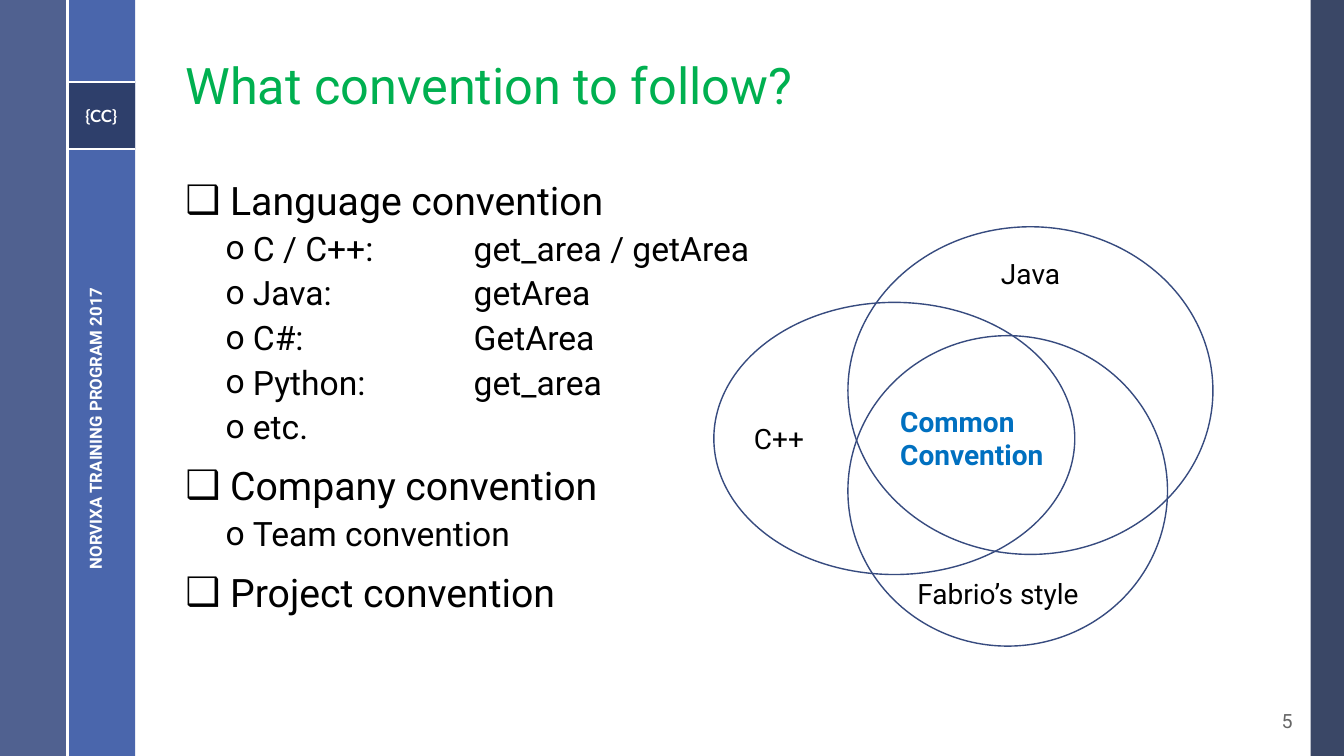
from dataclasses import dataclass

from lxml import etree
from pptx import Presentation
from pptx.dml.color import RGBColor
from pptx.enum.shapes import MSO_CONNECTOR, MSO_SHAPE
from pptx.enum.text import MSO_ANCHOR, PP_ALIGN
from pptx.oxml.ns import qn
from pptx.util import Inches, Pt

RECT, OVAL = MSO_SHAPE.RECTANGLE, MSO_SHAPE.OVAL
LINE = MSO_CONNECTOR.STRAIGHT
MIDDLE = MSO_ANCHOR.MIDDLE
LEFT, CENTER, RIGHT = PP_ALIGN.LEFT, PP_ALIGN.CENTER, PP_ALIGN.RIGHT


@dataclass(frozen=True)
class Theme:
    font: str = "Roboto"
    logo: str = "Lato"
    white: str = "FFFFFF"
    black: str = "000000"
    gray: str = "666666"
    green: str = "00B050"
    accent: str = "0070C0"
    navy: str = "253356"
    blue: str = "4A66AC"
    slate: str = "384C81"
    ring: str = "374B7F"
    title: int = 36
    head: int = 28
    item: int = 24
    label: int = 20
    page: int = 14
    small: int = 12


T = Theme()

TITLE = "What convention to follow?"
TOPICS = [
    ("Language convention", [
        "C / C++:\tget_area / getArea",
        "Java:\tgetArea",
        "C#:\tGetArea",
        "Python:\tget_area",
        "etc.",
    ]),
    ("Company convention", ["Team convention"]),
    ("Project convention", []),
]
PROGRAM = "NORVIXA TRAINING PROGRAM 2017"
BADGE = "{CC}"
PAGE = "5"

WIDE, HIGH = 13.33, 7.5
BAND = 0.67
BADGE_TOP = 0.81
# left, top, width, height, colour, opacity in percent
BANDS = [
    (13, 0, 0.33, HIGH, T.navy, 90),
    (BAND, 0, BAND, HIGH, T.blue, 100),
    (0, 0, BAND, HIGH, T.slate, 88),
]
RULES = [
    (BAND, BADGE_TOP, 2 * BAND, BADGE_TOP),
    (BAND, BADGE_TOP + BAND, 2 * BAND, BADGE_TOP + BAND),
    (BAND, 0, BAND, HIGH),
]
RINGS = [
    (7.08, 3, 3.58, 2.7),
    (8.41, 2.25, 3.62, 3.25),
    (8.41, 3.33, 3.17, 3.08),
]
LABELS = [
    (["Java"], (9.83, 2.5, 0.9, 0.44)),
    (["C++"], (7.38, 4.13, 0.9, 0.44)),
    (["Fabrio’s style"], (9, 5.67, 2.2, 0.44)),
]
COMMON = (["Common", "Convention"], (8.83, 3.96, 1.75, 0.77))
# indent, size, space before, bullet, gap after bullet
LEVELS = [
    (0.27, T.head, 14, "❑", " "),
    (0.67, T.item, 6, "o", ""),
]
HANG = 0.27
TAB = 2.86


def rgb(code):
    return RGBColor.from_string(code)


def box(at):
    return [Inches(n) for n in at]


def style(para, size, color, bold=False, align=LEFT, font=T.font):
    para.alignment = align
    face = para.font
    face.name, face.size, face.bold = font, Pt(size), bold
    face.color.rgb = rgb(color)


def band(slide, at, color, alpha):
    shape = slide.shapes.add_shape(RECT, *box(at))
    shape.shadow.inherit = False
    shape.fill.solid()
    shape.fill.fore_color.rgb = rgb(color)
    shape.line.fill.background()
    if alpha < 100:
        tint = shape.fill._xPr.find(".//" + qn("a:srgbClr"))
        etree.SubElement(tint, qn("a:alpha"), val=str(alpha * 1000))
    return shape


def rule(slide, ends):
    line = slide.shapes.add_connector(LINE, *box(ends))
    line.line.color.rgb = rgb(T.white)
    line.line.width = Pt(1.5)
    etree.SubElement(line._element.spPr, qn("a:effectLst"))


def ring(slide, at):
    oval = slide.shapes.add_shape(OVAL, *box(at))
    oval.shadow.inherit = False
    oval.fill.background()
    oval.line.color.rgb = rgb(T.ring)
    oval.line.width = Pt(1)


def note(slide, lines, at, size, color, **look):
    shape = slide.shapes.add_textbox(*box(at))
    frame = shape.text_frame
    frame.word_wrap = True
    frame.text = "\n".join(lines)
    for para in frame.paragraphs:
        style(para, size, color, **look)
    return shape


def bullet(para, text, level):
    """Fill a paragraph and give it the bullet and indent of its level."""
    left, size, before, mark, gap = LEVELS[level]
    para.text = gap + text
    para.level = level
    para.line_spacing = 0.9
    para.space_before = Pt(before)
    style(para, size, T.black)
    props = para._p.get_or_add_pPr()
    props.set("marL", str(Inches(left)))
    props.set("indent", str(-Inches(HANG)))
    etree.SubElement(props, qn("a:buFont"), typeface=T.font)
    etree.SubElement(props, qn("a:buChar"), char=mark)
    if "\t" in text:
        tabs = etree.SubElement(props, qn("a:tabLst"))
        etree.SubElement(tabs, qn("a:tab"), pos=str(Inches(TAB)), algn="l")


def sidebar(slide):
    for *at, color, alpha in BANDS:
        band(slide, at, color, alpha)
    badge = band(slide, (BAND, BADGE_TOP, BAND, BAND), T.navy, 75)
    frame = badge.text_frame
    frame.margin_left = frame.margin_right = 0
    frame.vertical_anchor = MIDDLE
    frame.text = BADGE
    style(frame.paragraphs[0], T.small, T.white, True, CENTER, T.logo)
    for ends in RULES:
        rule(slide, ends)
    name = note(slide, [PROGRAM], (-1.23, 4.05, 4.35, 0.4), T.small, T.white,
                bold=True, align=CENTER)
    name.text_frame.vertical_anchor = MIDDLE
    name.rotation = 270


def heading(slide):
    title = slide.shapes.title
    title.left, title.top, title.width, title.height = box(
        (1.74, 0.19, 10.7, 1.36))
    frame = title.text_frame
    frame.vertical_anchor = MIDDLE
    frame.text = TITLE
    frame.paragraphs[0].line_spacing = 0.9
    style(frame.paragraphs[0], T.title, T.green)


def outline(slide):
    frame = slide.shapes.add_textbox(*box((1.74, 1.75, 10.7, 5))).text_frame
    frame.word_wrap = True
    rows = []
    for head, items in TOPICS:
        rows += [(head, 0)] + [(item, 1) for item in items]
    for i, (text, level) in enumerate(rows):
        para = frame.add_paragraph() if i else frame.paragraphs[0]
        bullet(para, text, level)


def venn(slide):
    for at in RINGS:
        ring(slide, at)
    note(slide, *COMMON, T.label, T.accent, bold=True)
    for lines, at in LABELS:
        note(slide, lines, at, T.label, T.black)


def main():
    deck = Presentation()
    deck.slide_width, deck.slide_height = Inches(WIDE), Inches(HIGH)
    slide = deck.slides.add_slide(deck.slide_layouts[5])
    sidebar(slide)
    heading(slide)
    outline(slide)
    venn(slide)
    page = note(slide, [PAGE], (12.25, 6.95, 0.67, 0.4), T.page, T.gray,
                align=RIGHT)
    page.text_frame.vertical_anchor = MIDDLE
    deck.save("out.pptx")


if __name__ == "__main__":
    main()
